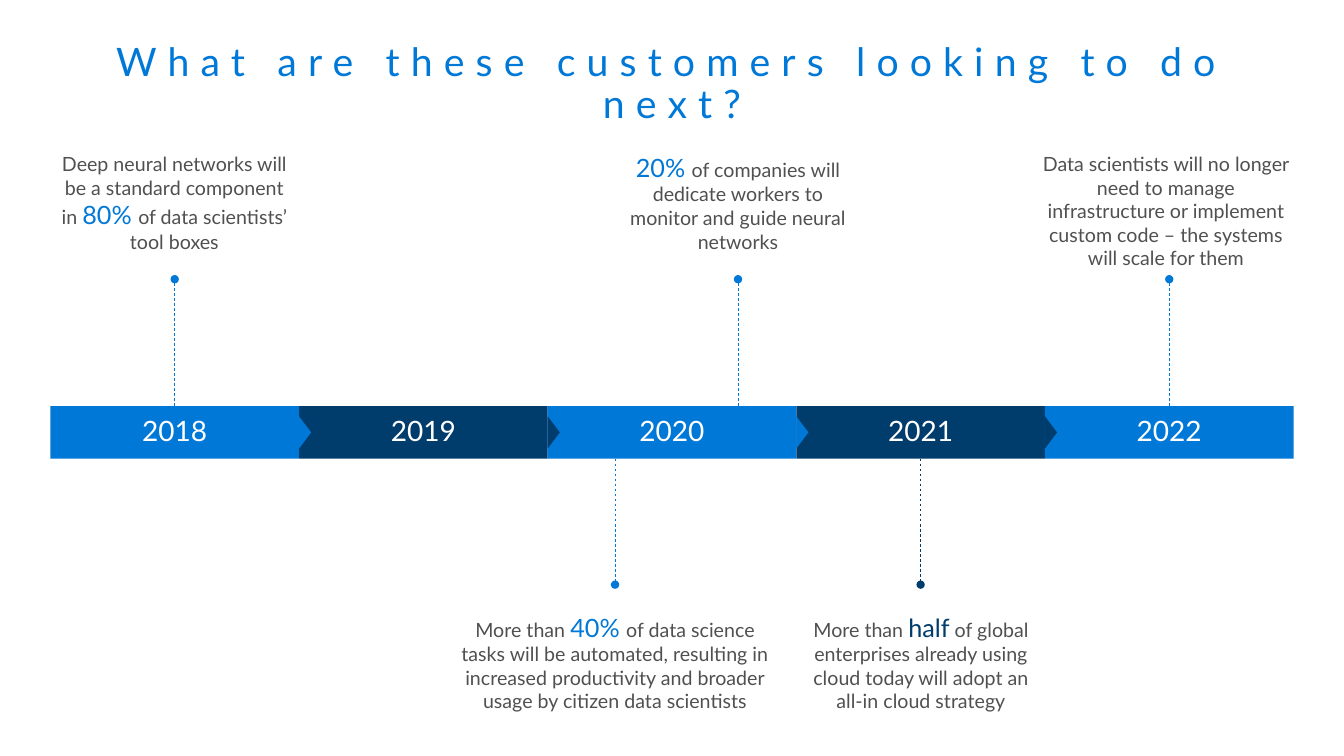
from pptx import Presentation
from pptx.dml.color import RGBColor
from pptx.enum.dml import MSO_LINE
from pptx.enum.shapes import MSO_CONNECTOR, MSO_SHAPE
from pptx.enum.text import MSO_ANCHOR, MSO_AUTO_SIZE, PP_ALIGN
from pptx.oxml.ns import qn
from pptx.util import Inches, Pt
from lxml.etree import SubElement

BLUE = RGBColor(0x00, 0x78, 0xD7)
NAVY = RGBColor(0x00, 0x3C, 0x6C)
GRAY = RGBColor(0x50, 0x50, 0x50)
WHITE = RGBColor(0xFF, 0xFF, 0xFF)

YEARS = ["2018", "2019", "2020", "2021", "2022"]
BAR_LEFT, BAR_TOP, BAR_HEIGHT = 0.5, 4.03, 0.52
YEAR_WIDTH = 12.33 / len(YEARS)
ARROW_BASE, ARROW_DEPTH = 0.32, 0.12
TOP, BOTTOM = 0, 2
PIN_ENDS = {TOP: (BAR_TOP, 2.77), BOTTOM: (BAR_TOP + BAR_HEIGHT, 5.8)}
NOTE_TOPS = {TOP: 1.51, BOTTOM: 6.07}

NOTES = [
    (TOP, 0, None, BLUE, 0.56, 2.34, 1,
     ["Deep neural networks will be a standard component in ", "80% ",
      "of data scientists’ tool boxes"]),
    (BOTTOM, 2, 6.1, BLUE, 4.51, 3.18, 1,
     ["More than ", "40% ",
      "of data science tasks will be automated, resulting in increased "
      "productivity and broader usage by citizen data scientists"]),
    (TOP, 2, 7.32, BLUE, 6.15, 2.34, 1,
     ["", "20% ",
      "of companies will dedicate workers to monitor and guide neural networks"]),
    (BOTTOM, 3, None, NAVY, 7.95, 2.37, 1,
     ["More than ", "half",
      " of global enterprises already using cloud today will adopt "
      "an all-in cloud strategy"]),
    (TOP, 4, None, BLUE, 10.3, 2.53, 1.26,
     ["Data scientists will no longer need to manage infrastructure or "
      "implement custom code – the systems will scale for them"]),
]


def add_run(p, text, size=14, color=GRAY, spacing=None):
    """Append a formatted run to a paragraph."""
    r = p.add_run()
    r.text = text
    r.font.name = "Lato"
    r.font.size = Pt(size)
    r.font.color.rgb = color
    if spacing:
        r.font._element.set("spc", str(spacing * 100))


class Timeline:
    """Draws the elements of a timeline slide in one style."""

    def __init__(self, slide):
        """Keep the current slide."""
        self.slide = slide
        self.shapes = slide.shapes

    def frame(self, sp, anchor=MSO_ANCHOR.TOP, inset_x=0, inset_y=0, spacing=None):
        """Set up a text frame and return its centred first paragraph."""
        tf = sp.text_frame
        tf.word_wrap = True
        tf.auto_size = MSO_AUTO_SIZE.NONE
        tf.vertical_anchor = anchor
        tf.margin_left = tf.margin_right = Inches(inset_x)
        tf.margin_top = tf.margin_bottom = Inches(inset_y)
        p = tf.paragraphs[0]
        p.alignment = PP_ALIGN.CENTER
        p.line_spacing = spacing
        return p

    def title(self, text):
        """Fill and place the title placeholder."""
        sp = self.shapes.title
        sp.left, sp.top = Inches(0.29), Inches(0.32)
        sp.width, sp.height = Inches(12.75), Inches(0.68)
        p = self.frame(sp, inset_x=0.16, inset_y=0.1, spacing=0.9)
        add_run(p, text, size=28, color=BLUE, spacing=8)

    def shape(self, kind, left, top, width, height, color):
        """Add a flat preset shape without outline."""
        sp = self.shapes.add_shape(kind, Inches(left), Inches(top),
                                   Inches(width), Inches(height))
        sp.shadow.inherit = False
        sp.fill.solid()
        sp.fill.fore_color.rgb = color
        sp.line.fill.background()
        return sp

    def year(self, text, left, color):
        """Add one year of the bar."""
        sp = self.shape(MSO_SHAPE.RECTANGLE, left, BAR_TOP, YEAR_WIDTH, BAR_HEIGHT, color)
        p = self.frame(sp, MSO_ANCHOR.MIDDLE, 0.2, 0.16, 0.9)
        add_run(p, text, size=20, color=WHITE)
        return sp

    def arrow(self, edge, color):
        """Add a triangle pointing right from the edge between two years."""
        left = edge + (ARROW_DEPTH - ARROW_BASE) / 2
        top = BAR_TOP + (BAR_HEIGHT - ARROW_DEPTH) / 2
        sp = self.shape(MSO_SHAPE.ISOSCELES_TRIANGLE, left, top,
                        ARROW_BASE, ARROW_DEPTH, color)
        sp.rotation = 90

    def pin(self, box, side, x, color):
        """Add a dashed pin with a round head, joined to the box when x is None."""
        start, end = PIN_ENDS[side]
        at = box.left + box.width // 2 if x is None else Inches(x)
        line = self.shapes.add_connector(MSO_CONNECTOR.STRAIGHT, at, Inches(start),
                                         at, Inches(end))
        if x is None:
            line.begin_connect(box, side)
        line.line.color.rgb = color
        line.line.width = Pt(0.5)
        line.line.dash_style = MSO_LINE.DASH
        SubElement(line.line._get_or_add_ln(), qn("a:tailEnd"), type="oval")
        SubElement(line._element.spPr, qn("a:effectLst"))

    def note(self, side, left, width, height, parts, color):
        """Add a note whose second part is emphasised."""
        sp = self.shapes.add_textbox(Inches(left), Inches(NOTE_TOPS[side]),
                                     Inches(width), Inches(height))
        p = self.frame(sp)
        for i, text in enumerate(parts):
            if text:
                style = {"size": 18, "color": color} if i == 1 else {}
                add_run(p, text, **style)


def main():
    """Build and save the slide."""
    prs = Presentation()
    prs.slide_width, prs.slide_height = Inches(13.33), Inches(7.5)
    timeline = Timeline(prs.slides.add_slide(prs.slide_layouts[5]))
    timeline.title("What are these customers looking to do next?")

    lefts = [BAR_LEFT + i * YEAR_WIDTH for i in range(len(YEARS))]
    colors = [(BLUE, NAVY)[i % 2] for i in range(len(YEARS))]
    boxes = [timeline.year(*item) for item in zip(YEARS, lefts, colors)]
    for side, index, x, color, left, width, height, parts in NOTES:
        timeline.pin(boxes[index], side, x, color)
        timeline.note(side, left, width, height, parts, color)
    for edge, color in zip(lefts[1:], colors):
        timeline.arrow(edge, color)
    prs.save("out.pptx")


if __name__ == "__main__":
    main()
